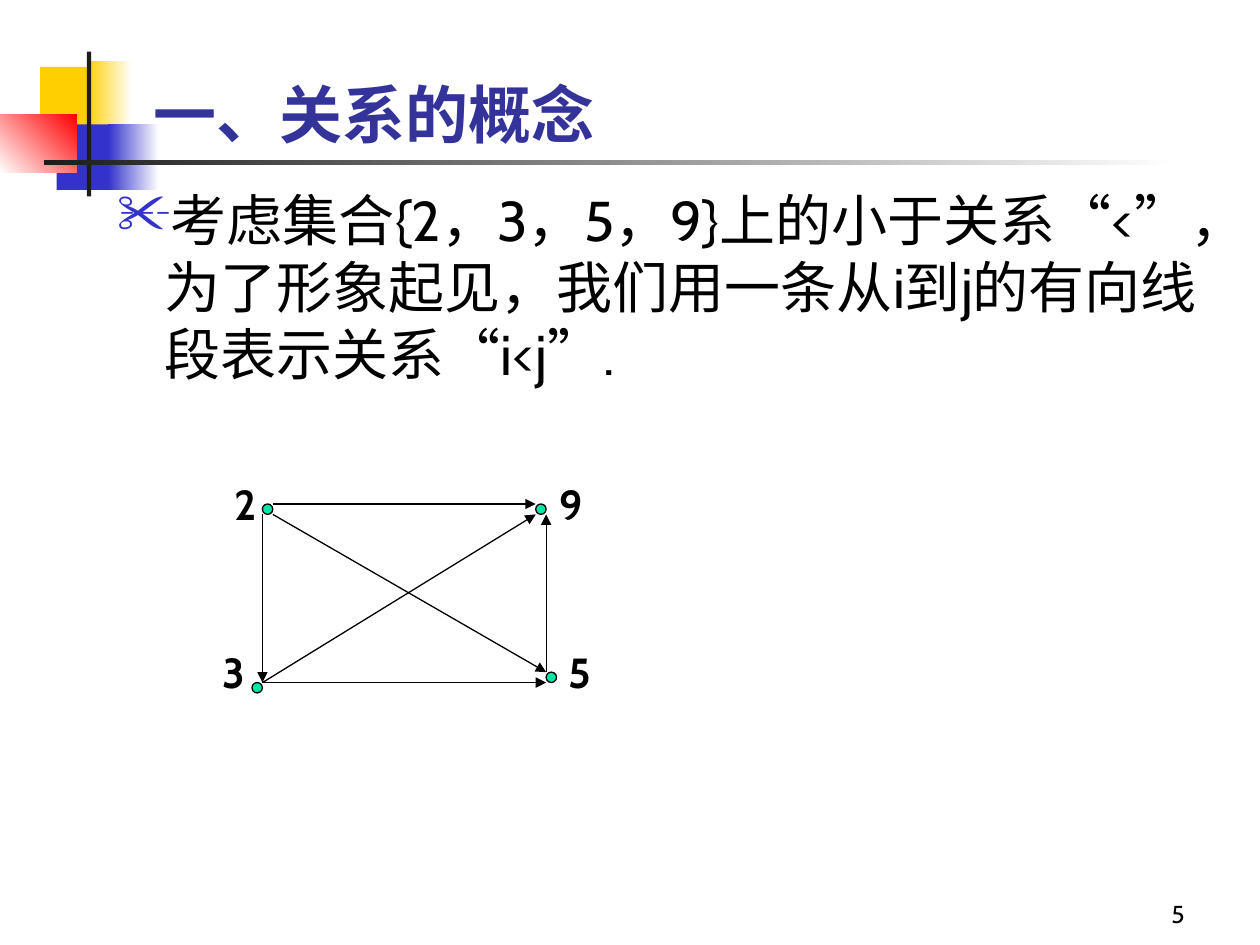
import pptx
import pptx.util
import pptx.dml.color
import pptx.enum.shapes
import pptx.enum.text
import lxml.etree

Cm = pptx.util.Cm
SHAPE = pptx.enum.shapes.MSO_SHAPE
ANCHOR = pptx.enum.text.MSO_ANCHOR
ALIGN = pptx.enum.text.PP_ALIGN
COLORS = {
    "yellow": "FFCF01", "blue": "3333CC", "red": "FF0000", "white": "FFFFFF",
    "charcoal": "1C1C1C", "black": "000000", "title": "333399", "dot": "00E4A8",
}
A = "{http://schemas.openxmlformats.org/drawingml/2006/main}"


def rgb(name):
    return pptx.dml.color.RGBColor.from_string(COLORS[name])


def add_text(shapes, box, runs, size, color="black", bold=False, anchor=ANCHOR.TOP, align=ALIGN.LEFT):
    frame = shapes.add_textbox(*map(Cm, box)).text_frame
    frame.word_wrap = True
    frame.vertical_anchor = anchor
    paragraph = frame.paragraphs[0]
    paragraph.alignment = align
    for text, face in runs:
        run = paragraph.add_run()
        run.text = text
        font_format = {"name": face, "size": pptx.util.Pt(size), "bold": bold}
        for attribute, value in font_format.items():
            setattr(run.font, attribute, value)
        run.font.color.rgb = rgb(color)
    return paragraph


deck = pptx.Presentation()
deck.slide_width, deck.slide_height = Cm(25.4), Cm(19.05)
slide = deck.slides.add_slide(deck.slide_layouts[6])

decorations = [
    ((0.81, 1.35, 1.22, 1.32), ["yellow"], 0),
    ((1.75, 1.24, 0.91, 1.32), ["yellow", "white"], 0),
    ((1.14, 2.51, 1.17, 1.32), ["blue"], 0),
    ((2.18, 2.51, 1.02, 1.32), ["blue", "white"], 0),
    ((0, 2.31, 1.55, 1.17), ["white", "red"], 45),
    ((1.75, 1.04, 0.09, 2.92), ["charcoal"], 0),
    ((0.89, 3.23, 22.86, 0.1), ["charcoal", "white"], 0),
]
for box, tones, angle in decorations:
    block = slide.shapes.add_shape(SHAPE.RECTANGLE, *map(Cm, box))
    block.shadow.inherit = False
    block.line.fill.background()
    if len(tones) == 1:
        block.fill.solid()
        block.fill.fore_color.rgb = rgb(tones[0])
    else:
        block.fill.gradient()
        block.fill.gradient_angle = angle
        for position, (stop, tone) in enumerate(zip(block.fill.gradient_stops, tones)):
            stop.position = position
            stop.color.rgb = rgb(tone)

add_text(slide.shapes, (18.85, 17.58, 5.28, 1.27), [("5", "Cabin")], 14,
         anchor=ANCHOR.BOTTOM, align=ALIGN.RIGHT)
add_text(slide.shapes, (2.84, 0, 21.64, 3.18), [("一、关系的概念", "Times New Roman")], 36,
         color="title", bold=True, anchor=ANCHOR.BOTTOM)

statement = [
    ("考虑集合{2，3，5，9}上的小于关系", "Cabin"), ("“", "Times New Roman"),
    ("<", "Cabin"), ("”", "Times New Roman"),
    ("，为了形象起见，我们用一条从i到j的有向线段表示关系", "Cabin"),
    ("“", "Times New Roman"), ("i<j", "Cabin"), ("”", "Times New Roman"), (".", "Cabin"),
]
explanation = add_text(slide.shapes, (2.11, 3.61, 22.86, 13.54), statement, 32)
properties = explanation._p.get_or_add_pPr()
properties.set("marL", str(Cm(0.95)))
properties.set("indent", str(-Cm(0.95)))
bullet_color = lxml.etree.SubElement(properties, A + "buClr")
lxml.etree.SubElement(bullet_color, A + "srgbClr", val=COLORS["blue"])
lxml.etree.SubElement(properties, A + "buChar", char="✂")

DOT = 0.21
vertices = {
    "2": ((5.29, 10.16), (4.47, 9.53, 0.99, 1.27)),
    "3": ((5.08, 13.76), (4.23, 12.91, 0.85, 1.27)),
    "9": ((10.8, 10.16), (11.02, 9.53, 0.99, 1.27)),
    "5": ((11.01, 13.55), (11.22, 12.91, 0.85, 1.27)),
}
for number, ((left, top), label_box) in vertices.items():
    vertex = slide.shapes.add_group_shape()
    dot = vertex.shapes.add_shape(SHAPE.OVAL, Cm(left), Cm(top), Cm(DOT), Cm(DOT))
    dot.shadow.inherit = False
    dot.fill.solid()
    dot.fill.fore_color.rgb = rgb("dot")
    dot.line.color.rgb = rgb("black")
    dot.line.width = pptx.util.Pt(0.75)
    add_text(vertex.shapes, label_box, [(number, "Cabin")], 24, bold=True)

corners = {"top left": (0, 0), "top right": (DOT, 0), "bottom left": (0, DOT), "bottom right": (DOT, DOT)}
relations = [
    ("2", "bottom left", "3", "top right"),
    ("2", "bottom right", "5", "top left"),
    ("2", "top right", "9", "top left"),
    ("3", "top right", "5", "bottom left"),
    ("3", "top right", "9", "bottom left"),
    ("5", "top left", "9", "bottom right"),
]
for smaller, start, larger, end in relations:
    points = [
        Cm(origin + shift)
        for number, corner in ((smaller, start), (larger, end))
        for origin, shift in zip(vertices[number][0], corners[corner])
    ]
    arrow = slide.shapes.add_connector(pptx.enum.shapes.MSO_CONNECTOR.STRAIGHT, *points)
    arrow.line.color.rgb = rgb("black")
    arrow.line.width = pptx.util.Pt(0.75)
    lxml.etree.SubElement(arrow.line._get_or_add_ln(), A + "tailEnd", type="triangle")
    lxml.etree.SubElement(arrow._element.spPr, A + "effectLst")

deck.save("out.pptx")
